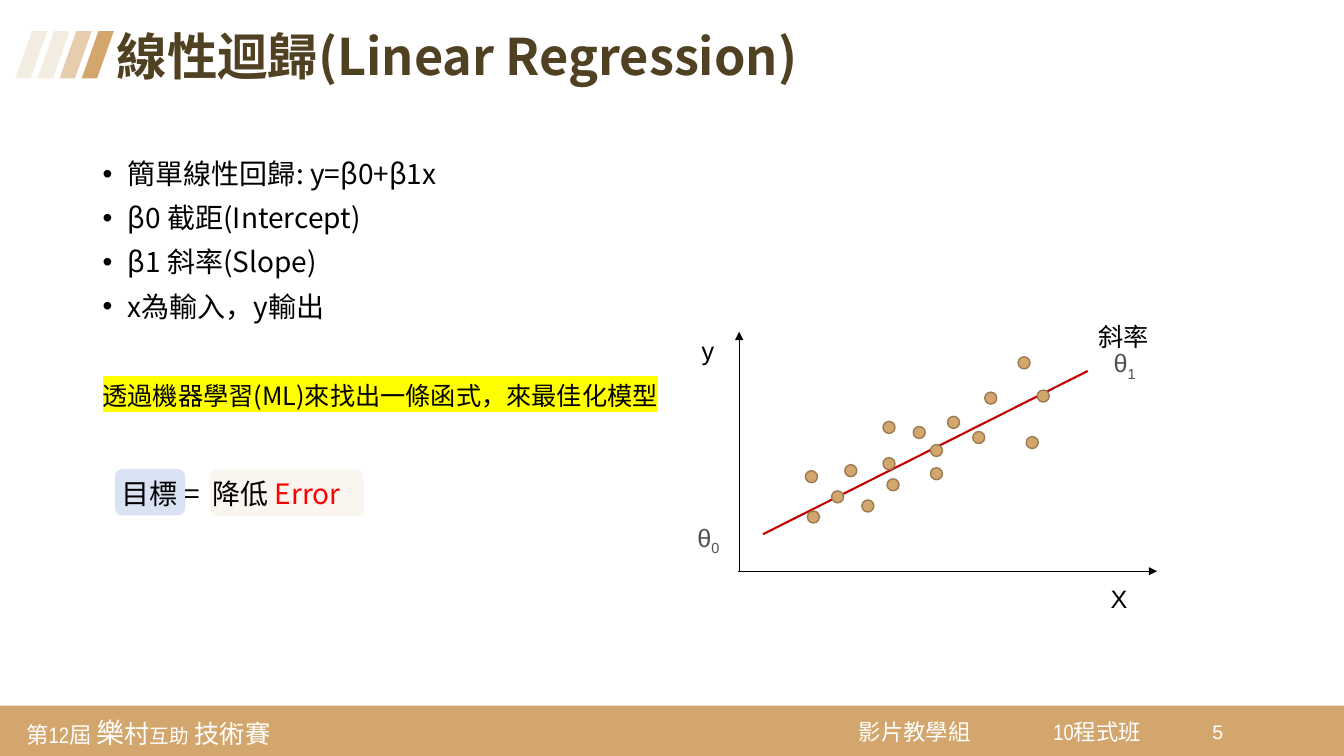
from pptx import Presentation
from pptx import util as u
from pptx.dml.color import RGBColor
from pptx.enum import shapes, text
from pptx.oxml import ns
from lxml import etree

Pt = u.Pt
COLORS = {
    "gold": "D2A66C", "sand": "E6CDAD", "cream": "F2ECE1", "brown": "514123",
    "rim": "9B7B50", "blue": "DAE3F3", "ivory": "FAF5EF", "trend": "C00000",
    "red": "FF0000", "grey": "4D5156", "black": "000000", "white": "FFFFFF",
    "yellow": "FFFF00",
}
RGB = {name: RGBColor.from_string(value) for name, value in COLORS.items()}
CJK = "Noto Sans CJK SC"

deck = Presentation()
deck.slide_width, deck.slide_height = Pt(960), Pt(540)
page = deck.slides.add_slide(deck.slide_layouts[6])


def add_shape(kind, left, top, width, height, color):
    shape = page.shapes.add_shape(kind, Pt(left), Pt(top), Pt(width), Pt(height))
    shape.shadow.inherit = False
    shape.fill.solid()
    shape.fill.fore_color.rgb = RGB[color]
    shape.line.fill.background()
    return shape


def add_text(left, top, width, height, spans, font=CJK, wrap=True):
    box = page.shapes.add_textbox(Pt(left), Pt(top), Pt(width), Pt(height))
    box.text_frame.word_wrap = wrap
    para = box.text_frame.paragraphs[0]
    for words, size, color in spans:
        span = para.add_run()
        span.text = words
        span.font.size = Pt(size)
        span.font.color.rgb = RGB[color]
        span.font.name = font
        latin = span.font._element.find(ns.qn("a:latin"))
        east = etree.Element(ns.qn("a:ea"), typeface=CJK)
        latin.addnext(east)
    return box


add_shape(shapes.MSO_SHAPE.RECTANGLE, 0, 504, 960, 36, "gold")
footers = [
    (13, 505.4, 204, 35.3, [("第12屆 ", 16, "white"), ("樂", 20, "white"), ("村", 18, "white"),
                            ("互助", 14, "white"), (" 技術賽", 18, "white")]),
    (607.7, 506.9, 96, 31, [("影片教學組", 16, "white")]),
    (746.6, 506.9, 96, 31, [("10程式班", 16, "white")]),
]
for left, top, width, height, spans in footers:
    frame = add_text(left, top, width, height, spans, "Arial Narrow").text_frame
    frame.vertical_anchor = text.MSO_ANCHOR.MIDDLE
    frame.margin_left = frame.margin_right = Pt(5.8)
    frame.margin_top = frame.margin_bottom = Pt(5.8)
add_text(859, 510.5, 30, 29.5, [("5", 14, "white")], "Arial")

for index, color in enumerate(["gold", "sand", "cream", "cream"]):
    stripe = add_shape(shapes.MSO_SHAPE.PARALLELOGRAM, 58.3 - 15.8 * index, 22.3, 23, 33.8, color)
    stripe.adjustments[0] = 0.522

title = add_text(76.3, 19.4, 862.6, 46.8, [("線性迴歸(Linear Regression)", 36, "brown")])
title.text_frame.paragraphs[0].line_spacing = 0.9
title.text_frame.paragraphs[0].runs[0].font.bold = True

add_shape(shapes.MSO_SHAPE.ROUNDED_RECTANGLE, 82, 335, 50.4, 33.2, "blue")
add_shape(shapes.MSO_SHAPE.ROUNDED_RECTANGLE, 149.8, 335.4, 110.2, 33.2, "ivory")

bullets = ["簡單線性回歸: y=β0+β1x", "β0 截距(Intercept)", "β1 斜率(Slope)", "x為輸入，y輸出"]
frame = add_text(66.2, 110.9, 828, 342.7, []).text_frame
frame.text = "\n".join(bullets)
for index, para in enumerate(frame.paragraphs):
    props = para._p.get_or_add_pPr()
    props.set("marL", str(Pt(18)))
    props.set("indent", str(-Pt(18)))
    etree.SubElement(props, ns.qn("a:buFont"), typeface="Arial")
    etree.SubElement(props, ns.qn("a:buChar"), char="•")
    para.line_spacing = 0.9
    para.space_before = Pt(10 if index else 0)
    font = para.runs[0].font
    font.size, font.name = Pt(20), CJK
    font.color.rgb = RGB["black"]
    etree.SubElement(font._element, ns.qn("a:ea"), typeface=CJK)

chart_lines = [
    (528, 408, 528, 237, "black", 0.5, True),
    (527.5, 408, 826.5, 408, "black", 0.5, True),
    (545, 381.6, 777, 265, "trend", 1.5, False),
]
for x1, y1, x2, y2, color, weight, arrow in chart_lines:
    line = page.shapes.add_connector(shapes.MSO_CONNECTOR.STRAIGHT, Pt(x1), Pt(y1), Pt(x2), Pt(y2))
    line.line.color.rgb = RGB[color]
    line.line.width = Pt(weight)
    if arrow:
        etree.SubElement(line.line._get_or_add_ln(), ns.qn("a:tailEnd"), type="triangle")
    etree.SubElement(line._element.spPr, ns.qn("a:effectLst"))

for label, left, top in [("X", 786.2, 413.3), ("y", 494, 236.2)]:
    box = add_text(left, top, 23.5, 28.8, [(label, 18, "black")], "Arial", False)
    box.text_frame.paragraphs[0].alignment = text.PP_ALIGN.CENTER

points = [
    (575.3, 336.2), (603.4, 331.9), (576.7, 365), (630.7, 326.9), (633.6, 342), (630.7, 301),
    (615.6, 357.1), (664.6, 334.1), (676.8, 297.4), (594, 350.6), (703.4, 280.1), (694.8, 308.2),
    (652.3, 304.6), (727.2, 254.9), (740.9, 278.6), (664.6, 317.5), (733, 311.8),
]
for left, top in points:
    dot = add_shape(shapes.MSO_SHAPE.OVAL, left, top, 8.6, 8.6, "gold")
    dot.line.color.rgb = RGB["rim"]
    dot.line.width = Pt(1)

summary = add_text(66.2, 267.8, 416.9, 28.8, [("透過機器學習(ML)來找出一條函式，來最佳化模型", 18, "black")])
latin = summary.text_frame.paragraphs[0].runs[0].font._element.find(ns.qn("a:latin"))
highlight = etree.Element(ns.qn("a:highlight"))
etree.SubElement(highlight, ns.qn("a:srgbClr"), val=COLORS["yellow"])
latin.addprevious(highlight)

add_text(80, 337, 172, 31.7, [("目標 =  降低 ", 20, "black"), ("Error", 20, "red")])

for digit, left, top in [("0", 491, 369.4), ("1", 788.4, 244.8)]:
    theta = add_text(left, top, 31.7, 28.8, [("θ", 18, "grey"), (digit, 18, "grey")], "Arial")
    theta.text_frame.paragraphs[0].runs[1].font._element.set("baseline", "-25000")
add_text(777.6, 226, 51.1, 28.8, [("斜率", 18, "black")])

deck.save("out.pptx")
